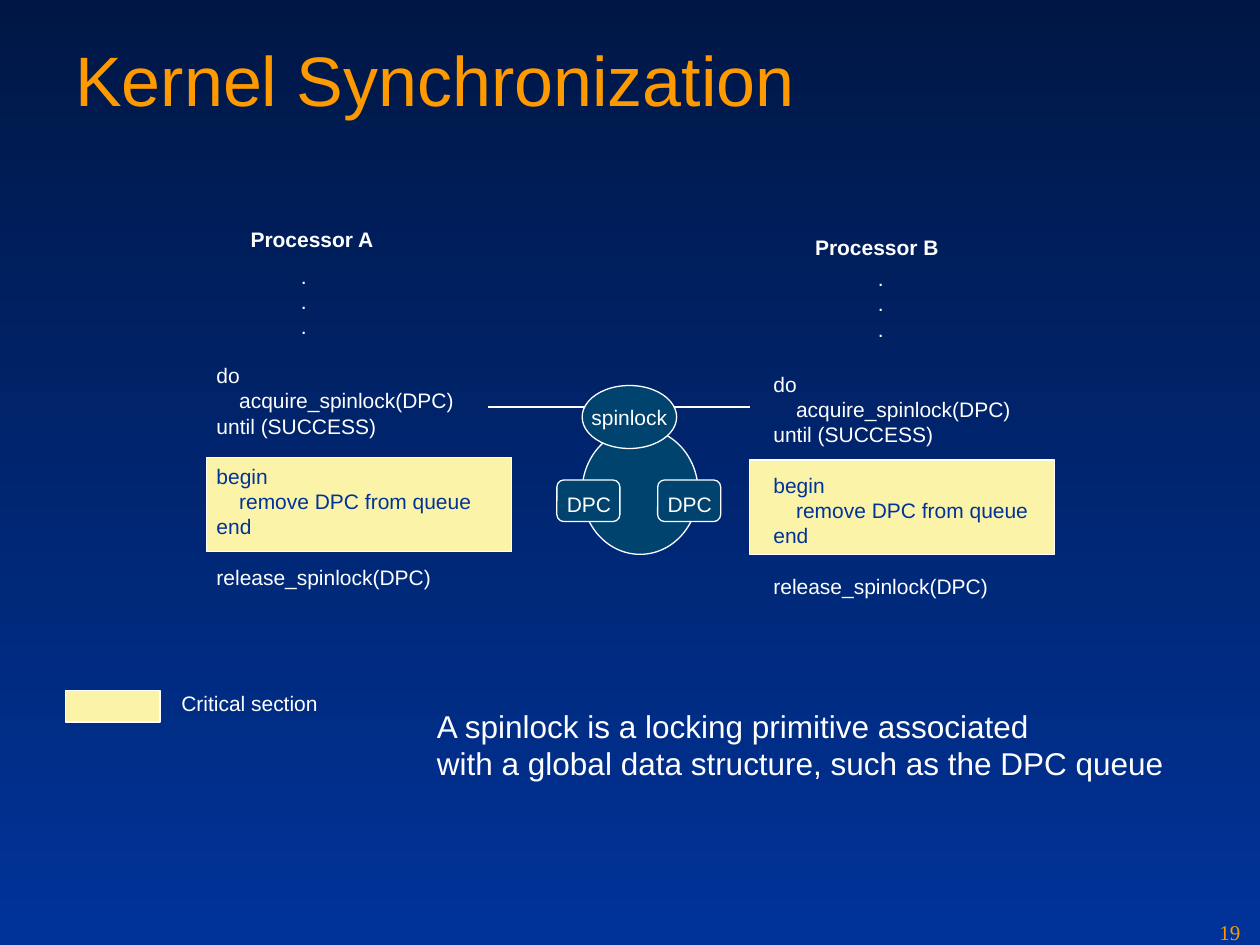
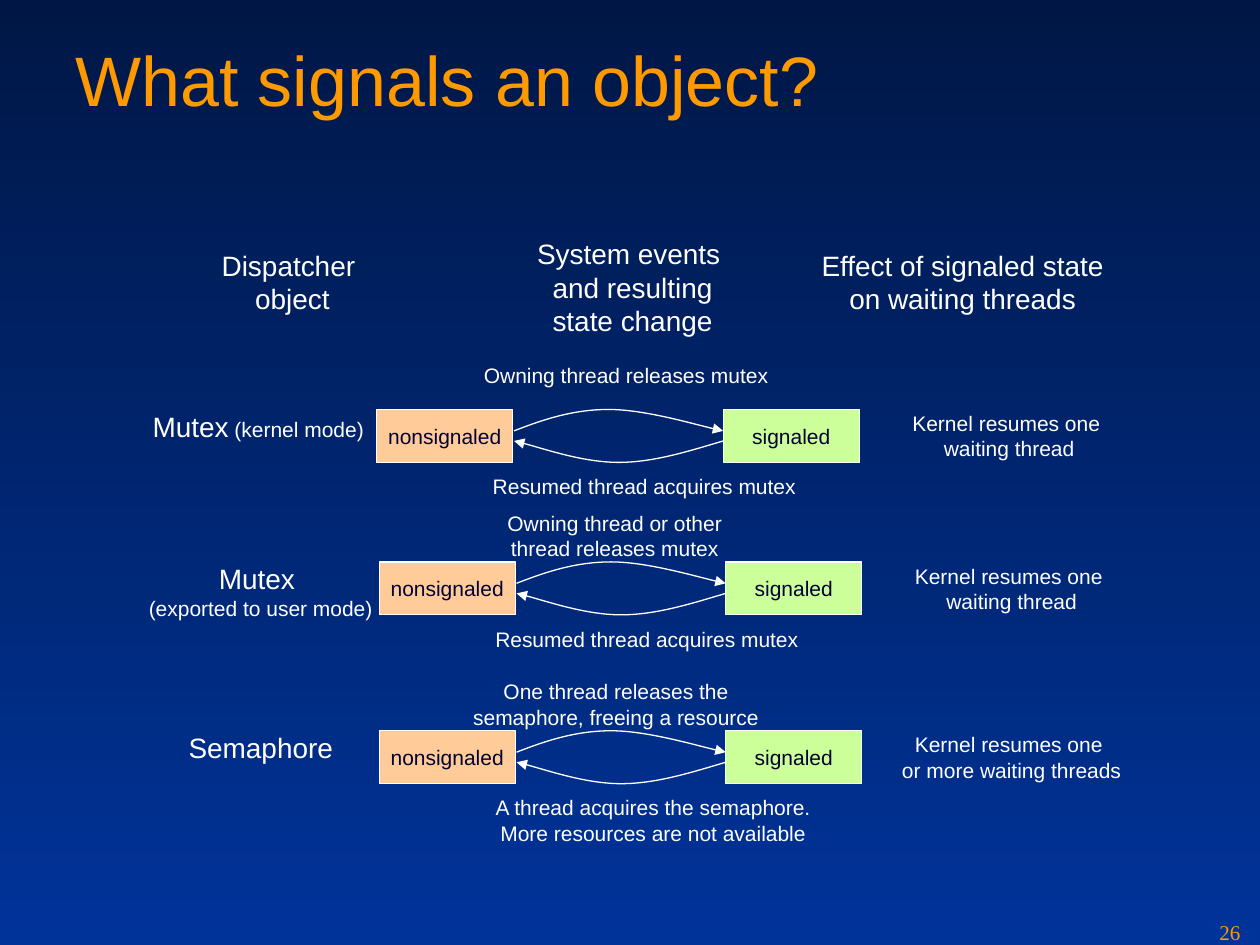
from lxml import etree
from pptx import Presentation
from pptx.dml.color import RGBColor
from pptx.enum.shapes import MSO_CONNECTOR, MSO_SHAPE as SHAPE
from pptx.enum.text import MSO_ANCHOR, PP_ALIGN
from pptx.oxml.ns import qn
from pptx.util import Inches, Pt

NIGHT = RGBColor(0x00, 0x17, 0x46)
BLUE = RGBColor(0x00, 0x33, 0x99)
ORANGE = RGBColor(0xFE, 0x99, 0x00)
WHITE = RGBColor(0xFF, 0xFF, 0xFF)
TEAL = RGBColor(0x00, 0x43, 0x6E)
CREAM = RGBColor(0xFB, 0xF3, 0xA7)
PEACH = RGBColor(0xFF, 0xCC, 0x99)
LIME = RGBColor(0xCC, 0xFF, 0x99)
INK = RGBColor(0x00, 0x00, 0x33)

LINE_PITCH = 1.2  # line height as a multiple of the text size
LINE_WIDTH = Pt(0.75)

STATE_W, STATE_H, STATE_STEP = 1.08, 0.42, 2.75
# Bezier points of the two arrows, from the corner of the left state box
TO_SIGNALED = [(1.09, 0.17), (1.32, 0.08), (1.56, 0), (1.84, 0),
               (2.12, 0), (2.6, 0.14), (2.75, 0.17)]
TO_NONSIGNALED = [(2.75, 0.25), (2.48, 0.33), (2.2, 0.42), (1.92, 0.42),
                  (1.64, 0.42), (1.23, 0.28), (1.09, 0.25)]

# Code lines: text, left indent, inside the critical section, starts a block
CODE = [
    ("do", 0, False, False),
    ("acquire_spinlock(DPC)", 0.18, False, False),
    ("until (SUCCESS)", 0, False, False),
    ("begin", 0, True, True),
    ("remove DPC from queue", 0.18, True, False),
    ("end", 0, True, False),
    ("release_spinlock(DPC)", 0, False, True),
]


def write(tf, text, size=12, color=WHITE, font="Arial", bold=False, align=None):
    """Fill a frame; a paragraph is a string or a list of (text, size) runs."""
    paragraphs = text.split("\n") if isinstance(text, str) else text
    for i, para in enumerate(paragraphs):
        p = tf.paragraphs[0] if i == 0 else tf.add_paragraph()
        runs = [(para, size)] if isinstance(para, str) else para
        p.alignment = align
        p.line_spacing = Pt(LINE_PITCH * max(s for _, s in runs))
        for words, run_size in runs:
            r = p.add_run()
            r.text = words
            r.font.size, r.font.name, r.font.bold = Pt(run_size), font, bold
            r.font.color.rgb = color


def add_text(slide, x, y, w, h, text, **fmt):
    sp = slide.shapes.add_textbox(Inches(x), Inches(y), Inches(w), Inches(h))
    tf = sp.text_frame
    tf.word_wrap = True
    tf.margin_right = 0  # spare width, so that no line breaks early
    write(tf, text, **fmt)
    return sp


def add_centered(slide, cx, y, w, h, text, **fmt):
    sp = add_text(slide, cx - w / 2, y, w, h, text, align=PP_ALIGN.CENTER, **fmt)
    sp.text_frame.margin_left = 0


def style_line(sp):
    sp.line.color.rgb = WHITE
    sp.line.width = LINE_WIDTH


def add_box(slide, kind, x, y, w, h, fill, text=None, color=WHITE):
    sp = slide.shapes.add_shape(kind, Inches(x), Inches(y), Inches(w), Inches(h))
    sp.shadow.inherit = False
    sp.fill.solid()
    sp.fill.fore_color.rgb = fill
    style_line(sp)
    if text:
        sp.text_frame.word_wrap = False
        sp.text_frame.vertical_anchor = MSO_ANCHOR.MIDDLE
        write(sp.text_frame, text, color=color, align=PP_ALIGN.CENTER)


def add_line(slide, x1, y1, x2, y2):
    cxn = slide.shapes.add_connector(
        MSO_CONNECTOR.STRAIGHT, Inches(x1), Inches(y1), Inches(x2), Inches(y2))
    style_line(cxn)
    etree.SubElement(cxn._element.spPr, qn("a:effectLst"))


def add_curved_arrow(slide, x, y, points):
    pts = [(Inches(x + dx), Inches(y + dy)) for dx, dy in points]
    builder = slide.shapes.build_freeform(*pts[0])
    builder.add_line_segments(pts[1:], close=False)
    sp = builder.convert_to_shape()
    sp.shadow.inherit = False
    sp.fill.background()
    style_line(sp)
    # Turn each three straight steps into one Bezier segment
    steps = list(sp._element.iter(qn("a:lnTo")))
    for i in range(0, len(steps), 3):
        curve = etree.SubElement(steps[i].getparent(), qn("a:cubicBezTo"))
        for step in steps[i:i + 3]:
            curve.append(step[0])
            step.getparent().remove(step)
    ln = sp._element.spPr.find(qn("a:ln"))
    etree.SubElement(ln, qn("a:tailEnd"), type="triangle")


def add_base(prs, title, number):
    """Blank slide with background, title and page number."""
    slide = prs.slides.add_slide(prs.slide_layouts[6])
    fill = slide.background.fill
    fill.gradient()
    fill.gradient_angle = 270
    for stop, position, color in zip(fill.gradient_stops, (0, 1), (NIGHT, BLUE)):
        stop.position = position
        stop.color.rgb = color
    add_text(slide, 0.5, 0.24, 9, 1.25, title, size=40, color=ORANGE)
    add_text(slide, 9.58, 7.25, 0.42, 0.25, number,
             color=ORANGE, font="Times New Roman")
    return slide


def add_processor(slide, x, y, name, name_at, dots_at, section_at):
    """One processor's column; offsets are from the corner of its code."""
    add_box(slide, SHAPE.RECTANGLE, x + section_at[0], y + section_at[1],
            2.42, 0.75, CREAM)
    add_text(slide, x + name_at[0], y + name_at[1], 1.18, 0.3, name, bold=True)
    add_text(slide, x + dots_at[0], y + dots_at[1], 0.24, 0.7, ".\n.\n.")
    sp = add_text(slide, x, y, 2.23, 1.9, "\n".join(line[0] for line in CODE))
    for p, (_, indent, critical, starts_block) in zip(sp.text_frame.paragraphs, CODE):
        if indent:
            p._p.get_or_add_pPr().set("marL", str(Inches(indent)))
        if critical:
            p.runs[0].font.color.rgb = BLUE
        if starts_block:
            p.space_before = Pt(12 * LINE_PITCH)


def add_queue(slide, x, y):
    """The DPC queue guarded by its spinlock."""
    add_box(slide, SHAPE.OVAL, x + 0.2, y + 0.34, 0.92, 1, TEAL)
    add_line(slide, x - 0.55, y + 0.17, x + 1.53, y + 0.17)
    add_box(slide, SHAPE.OVAL, x + 0.2, y, 0.75, 0.5, TEAL, "spinlock")
    for dx in (0, 0.8):
        add_box(slide, SHAPE.ROUNDED_RECTANGLE, x + dx, y + 0.75, 0.5, 0.33, TEAL)
        add_text(slide, x + dx - 0.02, y + 0.79, 0.55, 0.3, "DPC")


def add_legend(slide, x, y):
    add_box(slide, SHAPE.RECTANGLE, x, y, 0.75, 0.25, CREAM)
    add_text(slide, x + 0.82, y - 0.05, 1.28, 0.3, "Critical section")


def build_spinlock_slide(prs):
    slide = add_base(prs, "Kernel Synchronization", "19")
    add_processor(slide, 1.62, 2.83, "Processor A",
                  (0.27, -1.08), (0.67, -0.79), (0.02, 0.8))
    add_processor(slide, 6.04, 2.9, "Processor B",
                  (0.33, -1.09), (0.83, -0.84), (-0.09, 0.75))
    add_queue(slide, 4.42, 3.06)
    add_legend(slide, 0.52, 5.48)
    add_text(slide, 3.37, 5.56, 5.96, 0.7,
             "A spinlock is a locking primitive associated\n"
             "with a global data structure, such as the DPC queue", size=18)


def add_object_row(slide, x, y, label, label_w, above, above_box,
                   below, below_w, effect, effect_w):
    """One dispatcher object: label, two states, two events and the effect."""
    for dx, fill, state in ((0, PEACH, "nonsignaled"), (STATE_STEP, LIME, "signaled")):
        add_box(slide, SHAPE.RECTANGLE, x + dx, y, STATE_W, STATE_H, fill, state, INK)
    for points in (TO_SIGNALED, TO_NONSIGNALED):
        add_curved_arrow(slide, x, y, points)
    center, top, width = above_box
    add_centered(slide, x + center, y + top, width, 0.5 if "\n" in above else 0.3, above)
    add_centered(slide, x + 0.82 + below_w / 2, y + 0.46, below_w,
                 0.5 if "\n" in below else 0.3, below)
    add_centered(slide, x + 5.02, y - 0.04, effect_w, 0.5, effect)
    add_centered(slide, x - 0.94, y - 0.05, label_w, 0.37 if len(label) == 1 else 0.57, label)


def build_signals_slide(prs):
    slide = add_base(prs, "What signals an object?", "26")
    # Column heads
    for center, y, w, h, head in (
            (2.32, 1.92, 1.32, 0.64, "Dispatcher \nobject"),
            (5.02, 1.83, 1.71, 0.9, "System events \nand resulting\nstate change"),
            (7.64, 1.92, 2.44, 0.64, "Effect of signaled state\non waiting threads")):
        add_centered(slide, center, y, w, h, head, size=16)
    # Objects
    one_thread = "Kernel resumes one \nwaiting thread"
    acquired = "Resumed thread acquires mutex"
    add_object_row(slide, 2.99, 3.25,
                   [[("Mutex", 16), (" (kernel mode)", 12)]], 1.88,
                   "Owning thread releases mutex", (1.98, -0.42, 2.46),
                   acquired, 2.61, one_thread, 1.74)
    add_object_row(slide, 3.01, 4.46,
                   [[("Mutex ", 16)], [("(exported to user mode)", 12)]], 1.98,
                   "Owning thread or other\nthread releases mutex", (1.87, -0.46, 1.9),
                   acquired, 2.61, one_thread, 1.74)
    add_object_row(slide, 3.01, 5.8,
                   [[("Semaphore", 16)]], 1.34,
                   "One thread releases the\nsemaphore, freeing a resource",
                   (1.88, -0.46, 2.47),
                   "A thread acquires the semaphore.\nMore resources are not available", 2.71,
                   "Kernel resumes one \nor more waiting threads", 1.94)


def main():
    prs = Presentation()
    prs.slide_width, prs.slide_height = Inches(10), Inches(7.5)
    build_spinlock_slide(prs)
    build_signals_slide(prs)
    prs.save("out.pptx")


if __name__ == "__main__":
    main()
